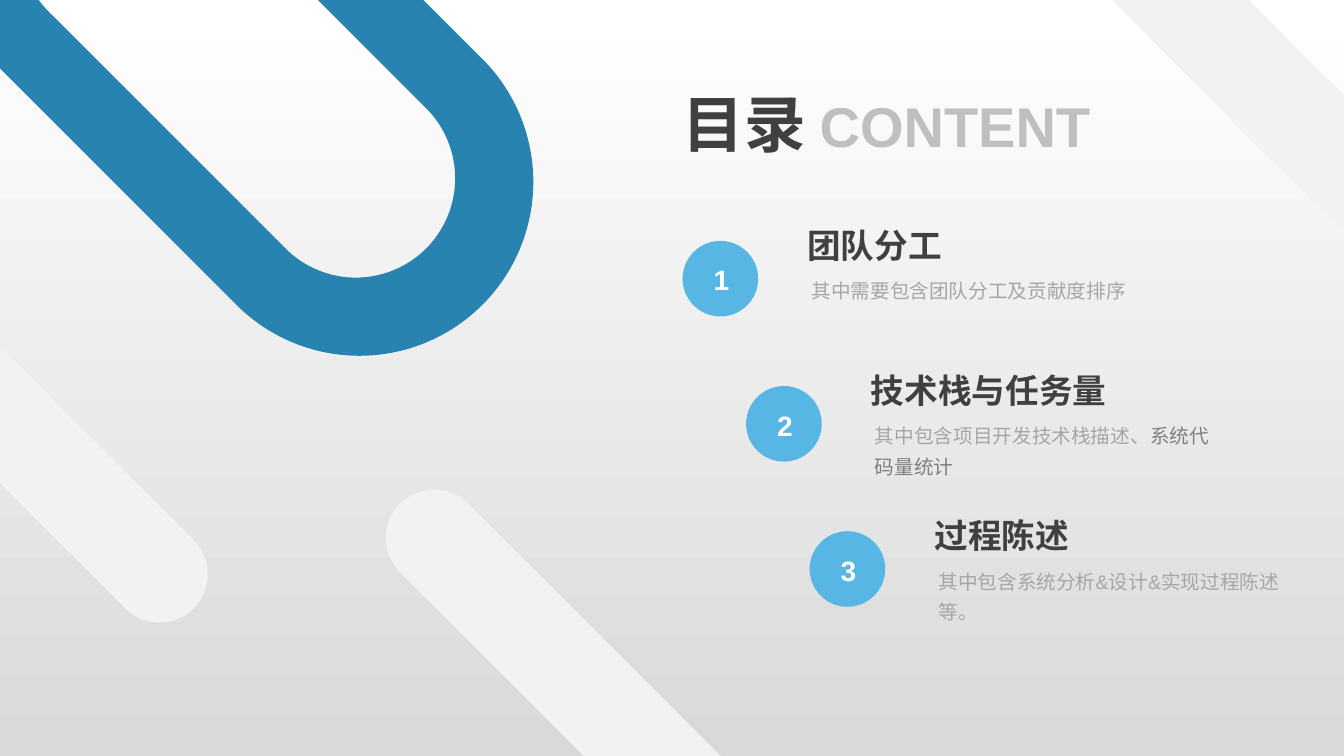
from dataclasses import dataclass

from lxml.etree import SubElement
from pptx import Presentation
from pptx.dml.color import RGBColor
from pptx.enum.shapes import MSO_SHAPE
from pptx.enum.text import MSO_AUTO_SIZE
from pptx.oxml.ns import qn
from pptx.slide import Slide
from pptx.util import Inches, Pt

WHITE = RGBColor(0xFF, 0xFF, 0xFF)
SILVER = RGBColor(0xD9, 0xD9, 0xD9)
PALE = RGBColor(0xF2, 0xF2, 0xF2)
SKY = RGBColor(0x58, 0xB6, 0xE5)
BLUE = RGBColor(0x28, 0x83, 0xB0)
DARK = RGBColor(0x40, 0x40, 0x40)
MID = RGBColor(0x80, 0x80, 0x80)
GREY = RGBColor(0xA6, 0xA6, 0xA6)
LIGHT = RGBColor(0xBF, 0xBF, 0xBF)

FONT = "Arial"
TILT = 225
STEP_X, STEP_Y = 0.63, 1.44
ARC_STARTS = [None, 270, 0, None, 90, 180]


@dataclass
class Run:
    text: str
    size: int
    color: RGBColor
    bold: bool = False


@dataclass
class Topic:
    heading: str
    heading_width: float
    details: list[Run]
    details_height: float


@dataclass
class Capsule:
    left: float
    top: float
    width: float
    height: float


TOPICS = [
    Topic("团队分工", 2.27, [Run("其中需要包含团队分工及贡献度排序", 14, GREY)], 0.41),
    Topic("技术栈与任务量", 2.91, [Run("其中包含项目开发技术栈描述、", 14, GREY),
                            Run("系统代码量统计", 14, MID)], 1.02),
    Topic("过程陈述", 2.27, [Run("其中包含系统分析&设计&实现过程陈述等。", 14, GREY)], 0.71),
]
TITLE = [Run("目录 ", 44, DARK, True), Run("CONTENT", 40, LIGHT, True)]
TOP_BAR = Capsule(8.58, -0.02, 7.17, 0.96)
LOWER_BARS = [Capsule(-4.2, 3.02, 7.17, 0.96), Capsule(2.64, 7.72, 9.06, 0.96)]
RING = [Capsule(-1.08, -1.13, 6.87, 3.45), Capsule(-0.29, -0.39, 5.29, 1.97)]


def paint(sp, color: RGBColor) -> None:
    sp.shadow.inherit = False
    sp.fill.solid()
    sp.fill.fore_color.rgb = color
    sp.line.fill.background()


def add_text(s: Slide, left: float, top: float, width: float, height: float,
             runs: list[Run], spacing: float | None = None) -> None:
    sp = s.shapes.add_textbox(Inches(left), Inches(top), Inches(width), Inches(height))
    tf = sp.text_frame
    tf.word_wrap = True
    tf.auto_size = MSO_AUTO_SIZE.SHAPE_TO_FIT_TEXT
    p = tf.paragraphs[0]
    p.line_spacing = spacing
    for run in runs:
        r = p.add_run()
        r.text = run.text
        r.font.name = FONT
        r.font.size = Pt(run.size)
        r.font.bold = run.bold
        r.font.color.rgb = run.color


def add_badge(s: Slide, index: int) -> None:
    sp = s.shapes.add_shape(MSO_SHAPE.OVAL, Inches(6.77 + index * STEP_X),
                            Inches(2.39 + index * STEP_Y), Inches(0.75), Inches(0.75))
    sp.rotation = 95.2
    paint(sp, SKY)


def add_number(s: Slide, index: int) -> None:
    add_text(s, 6.98 + index * STEP_X, 2.56 + index * STEP_Y, 0.38, 0.44,
             [Run(str(index + 1), 20, WHITE, True)])


def add_topic(s: Slide, index: int, topic: Topic) -> None:
    dx, dy = index * STEP_X, index * STEP_Y
    add_text(s, 7.91 + dx, 2.18 + dy, topic.heading_width, 0.5,
             [Run(topic.heading, 24, DARK, True)])
    add_text(s, 7.95 + dx, 2.65 + dy, 3.6, topic.details_height, topic.details, 1.3)


def add_bar(s: Slide, bar: Capsule) -> None:
    sp = s.shapes.add_shape(MSO_SHAPE.ROUNDED_RECTANGLE, Inches(bar.left), Inches(bar.top),
                            Inches(bar.width), Inches(bar.height))
    sp.adjustments[0] = 0.5
    sp.rotation = TILT
    paint(sp, PALE)


def capsule_points(capsule: Capsule) -> list[tuple[int, int]]:
    radius = capsule.height / 2
    left, top = capsule.left, capsule.top
    right, bottom = left + capsule.width, top + capsule.height
    corners = [(left + radius, top), (right - radius, top), (right, top + radius),
               (right - radius, bottom), (left + radius, bottom), (left, top + radius)]
    return [(Inches(x), Inches(y)) for x, y in corners]


def add_ring(s: Slide, capsules: list[Capsule]) -> None:
    outlines = [capsule_points(capsule) for capsule in capsules]
    builder = s.shapes.build_freeform(*outlines[0][0])
    for points in outlines:
        if points is not outlines[0]:
            builder.move_to(*points[0])
        builder.add_line_segments(points[1:] + points[:1])
    sp = builder.convert_to_shape()
    segments = list(sp._element.iter(qn("a:lnTo")))
    arcs = [(capsule, start) for capsule in capsules for start in ARC_STARTS]
    for segment, (capsule, start) in zip(segments, arcs):
        if start is not None:
            radius = str(Inches(capsule.height / 2))
            parent = segment.getparent()
            arc = SubElement(parent, qn("a:arcTo"), wR=radius, hR=radius,
                             stAng=str(start * 60000), swAng=str(90 * 60000))
            parent.replace(segment, arc)
    sp.rotation = TILT
    paint(sp, BLUE)


def main() -> None:
    prs = Presentation()
    prs.slide_width, prs.slide_height = Inches(13.33), Inches(7.5)
    s = prs.slides.add_slide(prs.slide_layouts[6])
    fill = s.background.fill
    fill.gradient()
    fill.gradient_angle = 270
    for stop, color in zip(fill.gradient_stops, (WHITE, SILVER)):
        stop.color.rgb = color

    for index in range(len(TOPICS)):
        add_badge(s, index)
    for index in range(len(TOPICS)):
        add_number(s, index)
    for index, topic in enumerate(TOPICS):
        add_topic(s, index, topic)
    add_text(s, 6.67, 0.8, 4.47, 0.84, TITLE)
    add_bar(s, TOP_BAR)
    add_ring(s, RING)
    for bar in LOWER_BARS:
        add_bar(s, bar)
    prs.save("out.pptx")


if __name__ == "__main__":
    main()
